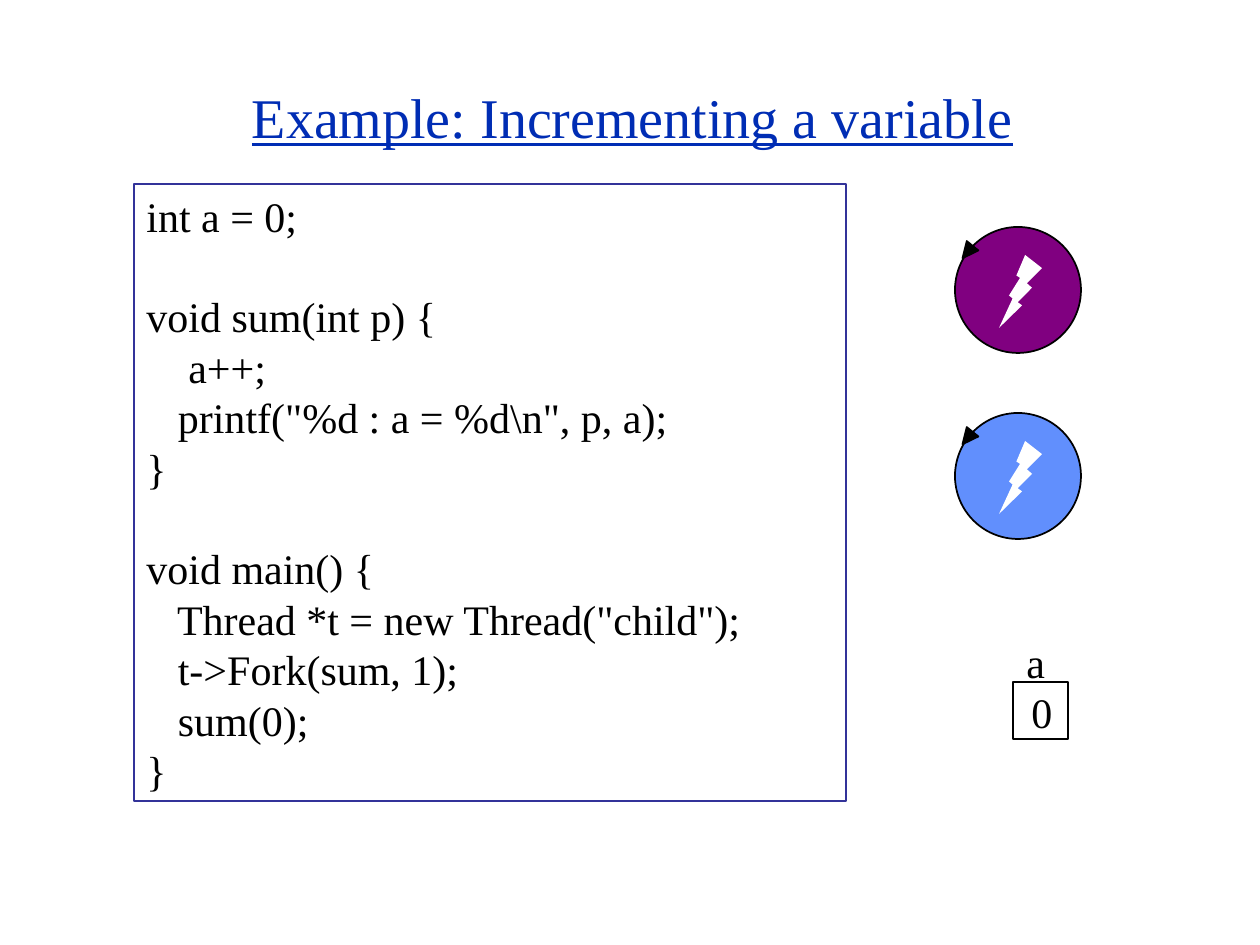
from dataclasses import dataclass

from pptx import Presentation
from pptx.dml.color import RGBColor
from pptx.enum.shapes import MSO_SHAPE as Shape
from pptx.enum.text import MSO_ANCHOR as Anchor, PP_ALIGN as Align
from pptx.util import Emu, Pt

TITLE = "Example: Incrementing a variable"
# Each block of code is set off from the one above by one line.
CODE = [
    ["int a = 0;"],
    ["void sum(int p) {",
     "    a++;",
     "   printf(\"%d : a = %d\\n\", p, a);",
     "}"],
    ["void main() {",
     "   Thread *t = new Thread(\"child\");",
     "   t->Fork(sum, 1);",
     "   sum(0);",
     "}"],
]
THREADS = [("800080", 227), ("618FFD", 413)]  # colour, top
LABELS = [("a", (1014, 630, 44, 63)), ("0", (1019, 680, 45, 63))]

TITLE_BOX = (97, 58, 1071, 116)
CODE_BOX = (134, 184, 712, 617)
CELL_BOX = (1013, 682, 55, 57)
THREAD_X, THREAD_SIZE = 955, 126


@dataclass(frozen=True)
class Theme:
    font: str = "Times New Roman"
    title: str = "002DB4"
    ink: str = "000000"
    paper: str = "FFFFFF"
    frame: str = "333399"
    title_size: float = 32
    size: float = 24
    leading: float = 28.8


theme = Theme()


def px(n):
    return Emu(round(n * 914400 / 126))


def place(box):
    return [px(n) for n in box]


def rgb(color):
    return RGBColor.from_string(color)


def style(para, size, color, **extra):
    para.font.color.rgb = rgb(color)
    for key, value in {"name": theme.font, "size": Pt(size), **extra}.items():
        setattr(para.font, key, value)


def draw(shapes, kind, box, fill=None, line=None):
    shape = shapes.add_shape(kind, *place(box))
    shape.shadow.inherit = False
    if fill:
        shape.fill.solid()
        shape.fill.fore_color.rgb = rgb(fill)
    else:
        shape.fill.background()
    if line:
        shape.line.color.rgb = rgb(line)
        shape.line.width = Pt(1)
    else:
        shape.line.fill.background()
    return shape


def write(frame, blocks):
    """Set blocks of lines, with one line of space between blocks."""
    frame.vertical_anchor = Anchor.TOP
    para = frame.paragraphs[0]
    for b, block in enumerate(blocks):
        for n, line in enumerate(block):
            if b or n:
                para = frame.add_paragraph()
            para.text = line
            para.alignment = Align.LEFT
            para.line_spacing = Pt(theme.leading)
            if b and not n:
                para.space_before = Pt(theme.leading)
            style(para, theme.size, theme.ink)


def add_thread(slide, color, top):
    """Draw a disc with a bolt and an arrowhead on its rim."""
    shapes = slide.shapes.add_group_shape().shapes
    left = THREAD_X
    draw(shapes, Shape.OVAL, (left, top, THREAD_SIZE, THREAD_SIZE),
         color, theme.ink)
    bolt = draw(shapes, Shape.LIGHTNING_BOLT,
                (left + 44, top + 28, 43, 73), theme.paper)
    bolt._element.spPr.xfrm.set("flipH", "1")
    head = draw(shapes, Shape.ISOSCELES_TRIANGLE,
                (left + 5, top + 17, 15, 16), theme.ink, theme.ink)
    head.rotation = 219


def main():
    deck = Presentation()
    deck.slide_width, deck.slide_height = px(1260), px(945)
    slide = deck.slides.add_slide(deck.slide_layouts[5])

    title = slide.shapes.title
    title.left, title.top, title.width, title.height = place(TITLE_BOX)
    title.text_frame.text = TITLE
    title.text_frame.vertical_anchor = Anchor.MIDDLE
    para = title.text_frame.paragraphs[0]
    para.alignment = Align.CENTER
    style(para, theme.title_size, theme.title, underline=True)

    code = draw(slide.shapes, Shape.RECTANGLE, CODE_BOX,
                theme.paper, theme.frame)
    write(code.text_frame, CODE)

    for color, top in THREADS:
        add_thread(slide, color, top)

    draw(slide.shapes, Shape.RECTANGLE, CELL_BOX, line=theme.ink)
    for text, box in LABELS:
        label = slide.shapes.add_textbox(*place(box))
        label.text_frame.word_wrap = False
        write(label.text_frame, [[text]])

    deck.save("out.pptx")


if __name__ == "__main__":
    main()
